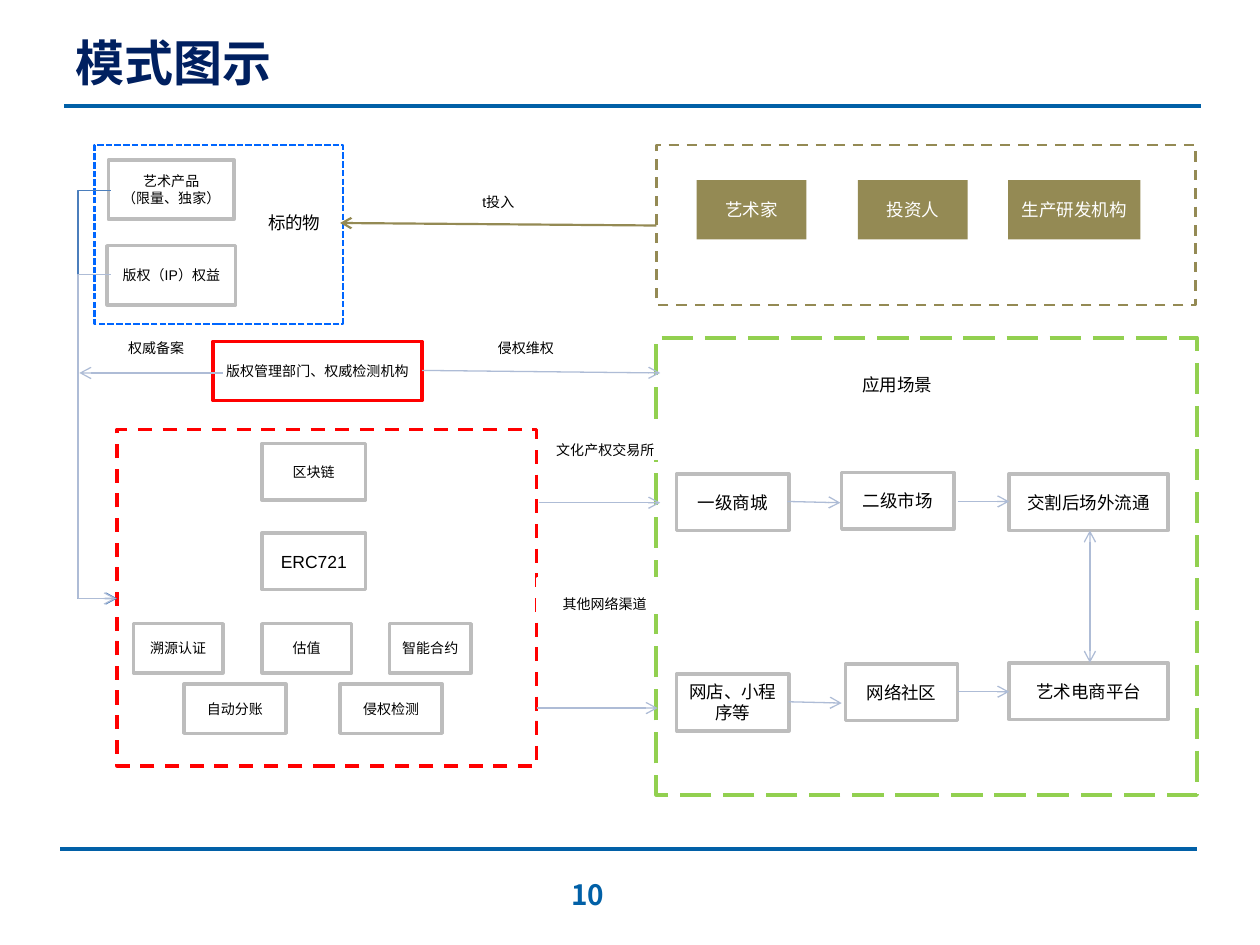
"""Build the business model diagram slide."""
from dataclasses import dataclass

from lxml.etree import SubElement
from pptx import Presentation
from pptx.dml.color import RGBColor
from pptx.enum.dml import MSO_LINE_DASH_STYLE as Dash
from pptx.enum.shapes import MSO_CONNECTOR as Link, MSO_SHAPE as Preset
from pptx.enum.text import MSO_ANCHOR as Anchor, PP_ALIGN as Align
from pptx.oxml.ns import qn
from pptx.util import Inches, Pt


@dataclass(frozen=True)
class Theme:
    latin: str = "Arial"
    cjk: str = "Noto Sans CJK SC"
    white: str = "FFFFFF"
    black: str = "000000"
    navy: str = "002060"
    rule: str = "0160A7"
    gray: str = "BDBDBD"
    red: str = "FF0000"
    green: str = "92D050"
    olive: str = "948A54"
    blue: str = "0066FF"
    pale: str = "AEBCD6"
    steel: str = "4B7EBC"
    small: int = 8
    body: int = 10
    number: int = 16
    title: int = 28


T = Theme()

ZONES = [
    ((5.21, 1.15, 4.28, 1.27), T.olive, 1.5, Dash.DASH),
    ((5.21, 2.68, 4.29, 3.63), T.green, 2.25, Dash.LONG_DASH),
    ((0.93, 3.41, 3.33, 2.67), T.red, 2, Dash.DASH),
    ((0.75, 1.15, 1.97, 1.42), T.blue, 1.25, Dash.SQUARE_DOT),
]

ASSETS = [
    ("版权（IP）权益", (0.85, 1.95, 1.02, 0.47)),
    ("艺术产品\n（限量、独家）", (0.86, 1.27, 1, 0.47)),
]
CHAIN = [("区块链", T.small), ("ERC721", T.body)]
SERVICES = [
    ("溯源认证", 1.06, 4.95, 0.71), ("估值", 2.08, 4.95, 0.71),
    ("智能合约", 3.09, 4.95, 0.65), ("自动分账", 1.46, 5.43, 0.81),
    ("侵权检测", 2.7, 5.43, 0.81),
]
REGULATOR = ("版权管理部门、权威检测机构", (1.69, 2.71, 1.66, 0.47))
SCENES = [
    ("一级商城", 5.37, 3.76, 0.89), ("二级市场", 6.68, 3.75, 0.89),
    ("交割后场外流通", 8.01, 3.76, 1.26), ("网店、小程序等", 5.37, 5.35, 0.89),
    ("网络社区", 6.71, 5.27, 0.89), ("艺术电商平台", 8.01, 5.26, 1.26),
]
INVESTORS = [("艺术家", 5.53, 0.87), ("投资人", 6.81, 0.87), ("生产研发机构", 8, 1.05)]
LABELS = [
    ("权威备案", 0.88, 2.63, 0.72, 0.05), ("侵权维权", 3.77, 2.63, 0.81, 0.05),
    ("t投入", 3.55, 1.47, 0.81, 0.05), ("文化产权交易所", 4.3, 3.37, 1.01, 0.18),
    ("其他网络渠道", 4.27, 4.59, 1.06, 0.18),
]
CAPTIONS = [("应用场景", (6.48, 2.82, 1.28, 0.47)), ("标的物", (1.97, 1.59, 0.73, 0.35))]

RULES = [(0.51, 0.84, 9.53, 0.84), (0.48, 6.74, 9.5, 6.74)]
FLOWS = [
    (1.77, 2.96, 0.63, 2.96), (3.35, 2.94, 5.24, 2.96), (4.28, 3.99, 5.24, 3.99),
    (4.26, 5.62, 5.22, 5.62), (6.25, 3.98, 6.67, 3.99), (7.6, 3.98, 8.01, 3.98),
    (6.26, 5.57, 6.68, 5.58), (7.6, 5.49, 8.01, 5.49),
]
EXCHANGE = (8.65, 4.21, 8.65, 5.26)
FUNDING = (5.21, 1.79, 2.7, 1.77)
BENDS = [((0.88, 1.51, 0.93, 4.75), T.steel), ((0.88, 2.18, 0.92, 4.75), T.pale)]
BEND_X = 0.62

deck = Presentation()
deck.slide_width, deck.slide_height = Inches(10), Inches(7.5)
slide = deck.slides.add_slide(deck.slide_layouts[6])


def rgb(color):
    return RGBColor.from_string(color)


def write(shape, text, size, color=T.black, font=T.latin, bold=False,
          align=Align.CENTER, top=0.05):
    frame = shape.text_frame
    frame.word_wrap = True
    frame.vertical_anchor = Anchor.MIDDLE
    frame.margin_left = frame.margin_right = Inches(0.1)
    frame.margin_top, frame.margin_bottom = Inches(top), Inches(0.05)
    for index, line in enumerate(text.split("\n")):
        paragraph = frame.add_paragraph() if index else frame.paragraphs[0]
        paragraph.alignment = align
        run = paragraph.add_run()
        run.text = line
        run.font.size, run.font.bold, run.font.name = Pt(size), bold, font
        run.font.color.rgb = rgb(color)
        SubElement(run.font._element, qn("a:ea"), typeface=T.cjk)


def box(at, line=None, width=2, fill=T.white, dash=None):
    shape = slide.shapes.add_shape(Preset.RECTANGLE, *map(Inches, at))
    shape.shadow.inherit = False
    shape.fill.solid()
    shape.fill.fore_color.rgb = rgb(fill)
    if line is None:
        shape.line.fill.background()
    else:
        shape.line.color.rgb = rgb(line)
        shape.line.width = Pt(width)
        if dash is not None:
            shape.line.dash_style = dash
    return shape


def caption(at, text, size, **style):
    write(slide.shapes.add_textbox(*map(Inches, at)), text, size, **style)


def connect(ends, color=T.pale, width=0.75, arrows=("tailEnd",), kind=Link.STRAIGHT):
    link = slide.shapes.add_connector(kind, *map(Inches, ends))
    link.line.color.rgb = rgb(color)
    link.line.width = Pt(width)
    for end in arrows:
        SubElement(link.line._get_or_add_ln(), qn(f"a:{end}"), type="arrow")
    SubElement(link._element.spPr, qn("a:effectLst"))
    return link


for at, color, width, dash in ZONES:
    box(at, color, width, dash=dash)

caption((0.5, 0.22, 8.99, 0.54), "模式图示", T.title, color=T.navy, font=T.cjk,
        bold=True, align=Align.LEFT)
caption((3.5, 6.9, 2.33, 0.4), "10", T.number, color=T.rule, font=T.cjk, bold=True)
for ends in RULES:
    connect(ends, T.rule, 2.25, arrows=())

for text, x, y, width, top in LABELS:
    write(box((x, y, width, 0.27), T.white), text, T.small, top=top)
for text, at in ASSETS:
    write(box(at, T.gray), text, T.small)
for row, (text, size) in enumerate(CHAIN):
    write(box((2.08, 3.52 + 0.71 * row, 0.82, 0.45), T.gray), text, size)
for text, x, y, width in SERVICES:
    write(box((x, y, width, 0.39), T.gray), text, T.small)
for text, x, y, width in SCENES:
    write(box((x, y, width, 0.45), T.gray), text, T.body)
for text, x, width in INVESTORS:
    write(box((x, 1.43, width, 0.47), fill=T.olive), text, T.body, color=T.white)
write(box(REGULATOR[1], T.red), REGULATOR[0], T.small)
for text, at in CAPTIONS:
    caption(at, text, T.body)

for ends in FLOWS:
    connect(ends)
connect(EXCHANGE, arrows=("headEnd", "tailEnd"))
connect(FUNDING, T.olive, 1.25)
for ends, color in BENDS:
    bend = connect(ends, color, kind=Link.ELBOW)
    ratio = (BEND_X - ends[0]) / (ends[2] - ends[0])
    guides = bend._element.spPr.find(qn("a:prstGeom")).get_or_add_avLst()
    SubElement(guides, qn("a:gd"), name="adj1", fmla=f"val {round(ratio * 100000)}")

deck.save("out.pptx")
